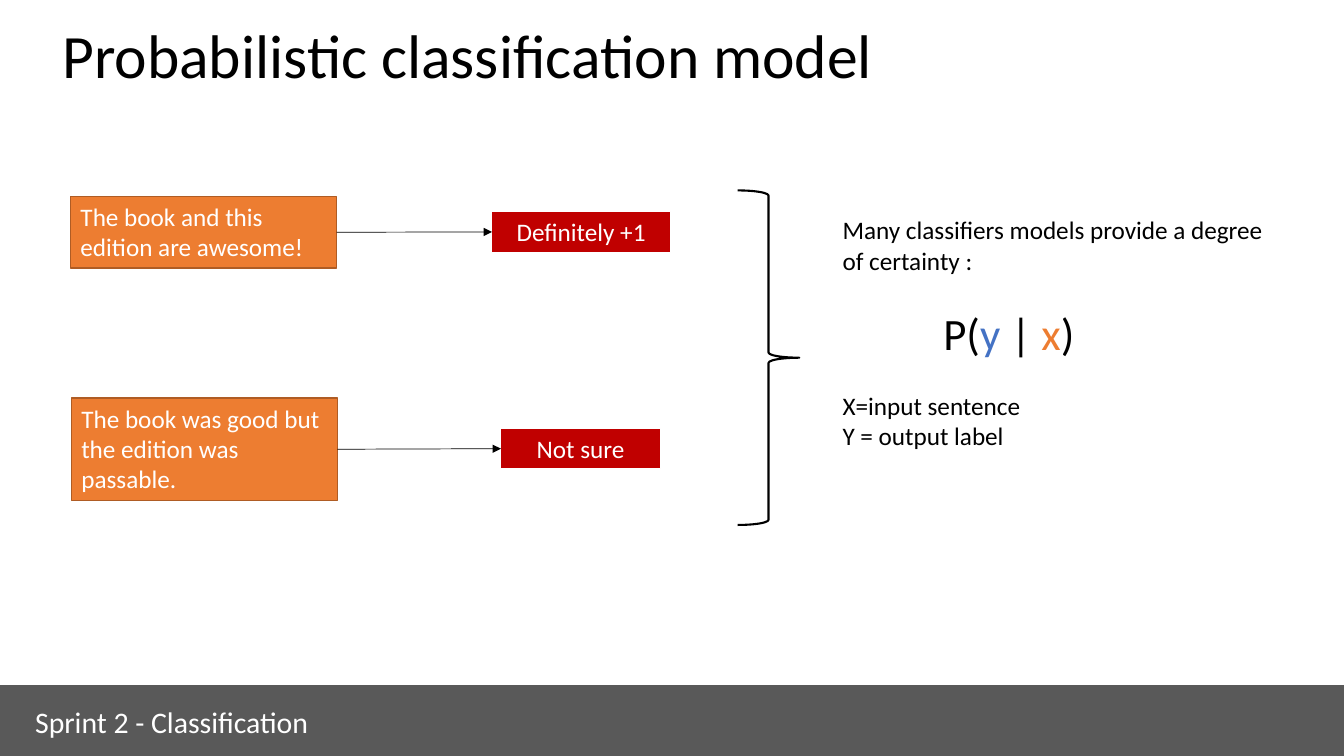
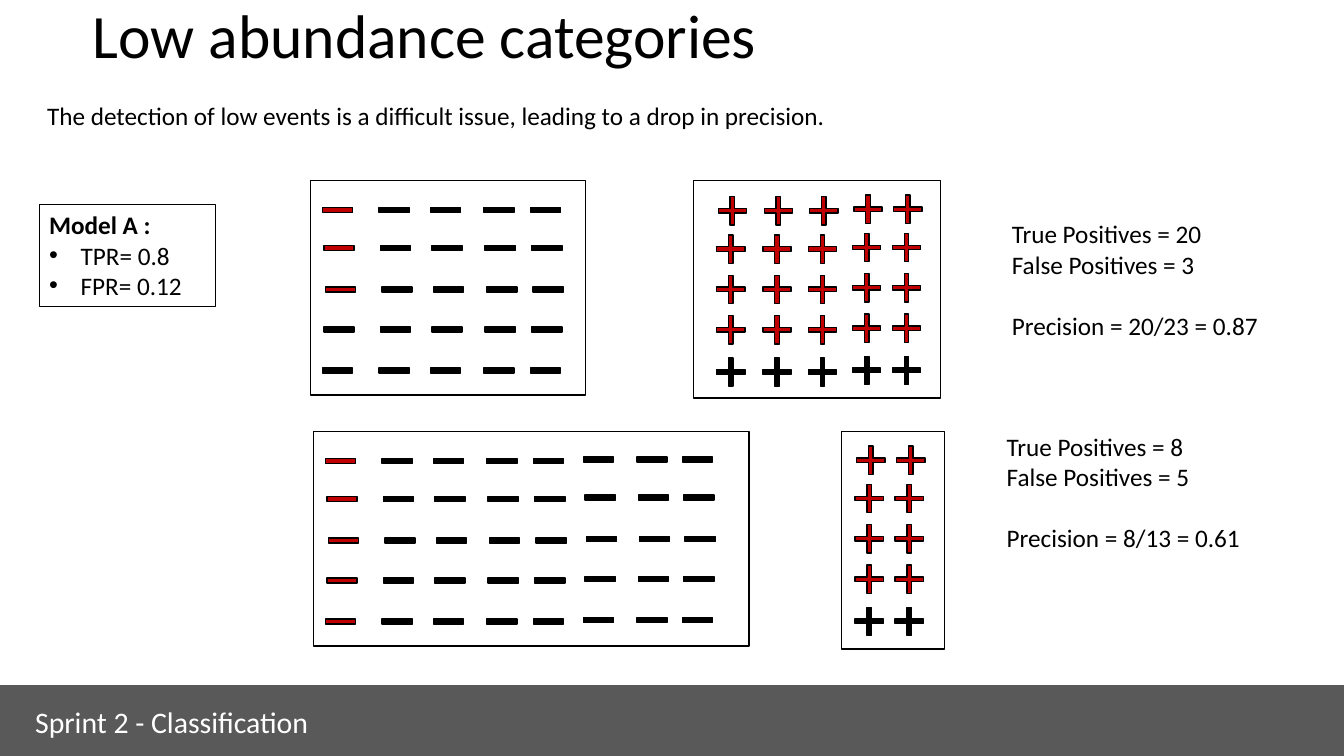
from lxml.etree import SubElement
from pptx import Presentation
from pptx.dml.color import RGBColor
from pptx.enum.shapes import MSO_CONNECTOR, MSO_SHAPE
from pptx.enum.text import MSO_ANCHOR, PP_ALIGN
from pptx.oxml.ns import qn
from pptx.util import Pt

HUES = {
    "black": "000000", "white": "FFFFFF", "grey": "595959", "red": "C00000",
    "orange": "ED7D31", "rust": "AF5C24", "blue": "4472C4",
}
FONT = "Calibri"


def box(slide, kind, place, fill=None, line=None, width=1):
    """Draw a preset shape, or a text box when kind is None."""
    spot = [Pt(n) for n in place]
    if kind is None:
        return slide.shapes.add_textbox(*spot)
    shape = slide.shapes.add_shape(kind, *spot)
    shape.shadow.inherit = False
    if fill:
        shape.fill.solid()
        shape.fill.fore_color.rgb = RGBColor.from_string(HUES[fill])
    else:
        shape.fill.background()
    shape.line.color.rgb = RGBColor.from_string(HUES[line])
    shape.line.width = Pt(width)
    return shape


def write(shape, lines, size=18, hue="black", align=PP_ALIGN.LEFT, gaps=()):
    """Fill a shape with paragraphs; gaps lists those with space before."""
    frame = shape.text_frame
    frame.word_wrap = True
    frame.vertical_anchor = MSO_ANCHOR.TOP
    frame.text = "\n".join(lines)
    for i, para in enumerate(frame.paragraphs):
        para.alignment = align
        if i in gaps:
            para.space_before = Pt(22)
        for run in para.runs:
            run.font.name = FONT
            run.font.size = Pt(size)
            run.font.color.rgb = RGBColor.from_string(HUES[hue])
    return frame.paragraphs


deck = Presentation()
deck.slide_width, deck.slide_height = Pt(960), Pt(540)

# Title and footer on each slide
pages = []
for name, left, top in [
    ("Probabilistic classification model", 37.5, 14.4),
    ("Low abundance categories", 59, 0),
]:
    page = deck.slides.add_slide(deck.slide_layouts[6])
    title = box(page, None, (left, top, 864, 90))
    write(title, [name], 44)[0].line_spacing = 0.9
    box(page, MSO_SHAPE.RECTANGLE, (0, 489.6, 960, 50.4), "grey", "grey")
    label = box(page, MSO_SHAPE.RECTANGLE, (18, 499, 242, 33), None, "grey", 0.75)
    write(label, ["Sprint 2 - Classification"], 21.3, "white")
    pages.append(page)
model, rare = pages

# Sentences, each with an arrow to its verdict
for quote, spot, verdict, goal in [
    ("The book and this edition are awesome!", (50.4, 140.4, 190, 51),
     "Definitely +1", (351.4, 151.2, 127.4, 29)),
    ("The book was good but the edition was passable.", (51, 284.4, 190, 73),
     "Not sure", (357.8, 306, 113.8, 29)),
]:
    source = box(model, MSO_SHAPE.RECTANGLE, spot, "orange", "rust")
    write(source, [quote], hue="white")
    target = box(model, MSO_SHAPE.RECTANGLE, goal, "red", "white", 0.75)
    write(target, [verdict], hue="white", align=PP_ALIGN.CENTER)
    arrow = model.shapes.add_connector(MSO_CONNECTOR.STRAIGHT, 0, 0, 0, 0)
    arrow.begin_connect(source, 3)
    arrow.end_connect(target, 1)
    arrow.line.color.rgb = RGBColor.from_string(HUES["black"])
    arrow.line.width = Pt(0.5)
    SubElement(arrow.line._get_or_add_ln(), qn("a:tailEnd"), type="triangle")
    SubElement(arrow._element.spPr, qn("a:effectLst"))

# Brace and certainty note
box(model, MSO_SHAPE.RIGHT_BRACE, (527, 136, 44, 239), None, "black", 1.5)
note = box(model, None, (594.7, 149.8, 329.8, 198.7))
paras = write(note, [
    "Many classifiers models provide a degree of certainty :", "",
    "X=input sentence", "Y = output label",
], gaps=(1, 2))
paras[1]._p.get_or_add_pPr().set("marL", str(Pt(72)))
for part, hue in [("P(", "black"), ("y", "blue"), (" | ", "black"),
                  ("x", "orange"), (")", "black")]:
    run = paras[1].add_run()
    run.text = part
    run.font.name = FONT
    run.font.size = Pt(32)
    run.font.color.rgb = RGBColor.from_string(HUES[hue])

# Lead sentence and model rates
lead = box(rare, None, (26.6, 68.4, 659, 29))
write(lead, ["The detection of low events is a difficult issue, "
             "leading to a drop in precision."])
rates = box(rare, MSO_SHAPE.RECTANGLE, (28, 146.2, 126, 72.7), "white", "black")
paras = write(rates, ["Model A :", "TPR= 0.8", "FPR= 0.12"])
paras[0].runs[0].font.bold = True
for para in paras[1:]:
    props = para._p.get_or_add_pPr()
    props.set("marL", str(Pt(22.5)))
    props.set("indent", str(-Pt(22.5)))
    SubElement(props, qn("a:buFont"), typeface="Arial")
    SubElement(props, qn("a:buChar"), char="•")

# Marks: shape, size, row offsets and row shifts
MINUS = (MSO_SHAPE.RECTANGLE, 21.6, 3.6,
         (19.2, 46.6, 76.1, 104.6, 134), (0, 1, 2, 1, 0))
PLUS = (MSO_SHAPE.CROSS, 20.2, 20.2,
        (11.5, 38.9, 67.7, 96.5, 126.7), (1, 0, 0, 0, 0))

# Panels: place, mark, column offsets, first raised column, red columns and rows
for place, mark, cols, lift, wide, deep in [
    ((221.8, 128.9, 196.6, 153.4), MINUS, (8.6, 49, 85.7, 123.8, 157), 5, 1, 3),
    ((495.4, 128.9, 176.4, 155.5), PLUS, (16.6, 49.5, 82, 113.5, 142), 3, 5, 4),
    ((223.9, 308.2, 311, 153.4), MINUS,
     (8.6, 49, 85.7, 123.8, 157, 193, 231, 263.5), 5, 1, 5),
    ((601.2, 308.2, 73.4, 155.5), PLUS, (9.6, 38.2), 0, 2, 4),
]:
    box(rare, MSO_SHAPE.RECTANGLE, place, "white", "black")
    kind, width, height, rows, shifts = mark
    for r, (down, shift) in enumerate(zip(rows, shifts)):
        for c, across in enumerate(cols):
            x = place[0] + across + shift
            y = place[1] + down - (1.1 if c >= lift else 0)
            hue = "red" if c < wide and r < deep else "black"
            sign = box(rare, kind, (x, y, width, height), hue, "black")
            if kind == MSO_SHAPE.CROSS:
                sign.adjustments[0] = 0.42

# Precision results
for left, top, hits, wrong, ratio in [
    (715.7, 152.6, 20, 3, "20/23 = 0.87"),
    (712, 304.6, 8, 5, "8/13 = 0.61"),
]:
    score = box(rare, None, (left, top, 196.6, 116.6))
    write(score, [f"True Positives = {hits}", f"False Positives = {wrong}",
                  f"Precision = {ratio}"], gaps=(2,))

deck.save("out.pptx")
